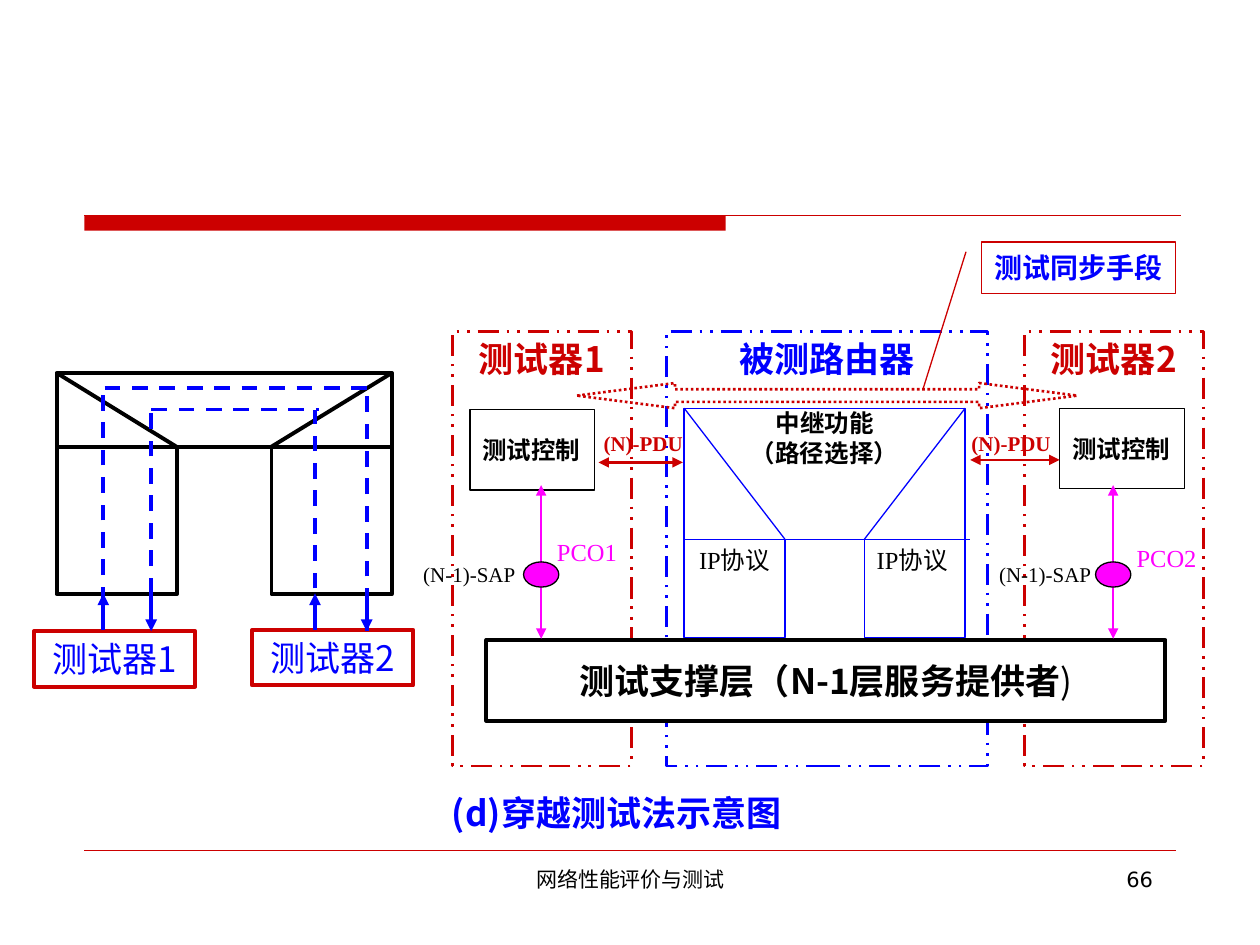
from lxml import etree
from pptx import Presentation
from pptx import util as u
from pptx.dml.color import RGBColor
from pptx.enum import dml, shapes, text
from pptx.oxml.ns import qn

COLORS = {"red": "CC0000", "blue": "0000FF", "magenta": "FF00FF",
          "black": "000000", "white": "FFFFFF"}
HEI, TIMES, SANS = "Noto Sans CJK SC", "Times New Roman", "DejaVu Sans"
DASH, PANEL_DASH, DOTS = (dml.MSO_LINE.DASH, dml.MSO_LINE.DASH_DOT_DOT,
                          dml.MSO_LINE.ROUND_DOT)
KIND = shapes.MSO_SHAPE
LEFT, CENTER, RIGHT, JUSTIFY = (text.PP_ALIGN.LEFT, text.PP_ALIGN.CENTER,
                                text.PP_ALIGN.RIGHT, text.PP_ALIGN.JUSTIFY)
TOP, MIDDLE = text.MSO_ANCHOR.TOP, text.MSO_ANCHOR.MIDDLE
THICK, MEDIUM, THIN = 2.25, 1.5, 0.75

prs = Presentation()
prs.slide_width, prs.slide_height = u.Inches(10), u.Inches(7.5)
slide = prs.slides.add_slide(prs.slide_layouts[6])
CELL = prs.slide_width / 100  # grid of 100 columns by 75 rows


def cells(*counts):
    return [u.Emu(round(n * CELL)) for n in counts]


def rgb(name):
    return RGBColor.from_string(COLORS[name])


def style_line(line, color, width, dash=None):
    line.color.rgb = rgb(color)
    line.width = u.Pt(width)
    if dash is not None:
        line.dash_style = dash


def write(frame, lines, size, color, font=HEI, bold=False, align=CENTER,
          anchor=TOP, inset=(1, 0.5)):
    frame.word_wrap = True
    frame.vertical_anchor = anchor
    frame.margin_left = frame.margin_right = cells(inset[0])[0]
    frame.margin_top = frame.margin_bottom = cells(inset[1])[0]
    frame.text = lines
    for par in frame.paragraphs:
        par.alignment = align
        par.font.size, par.font.bold = u.Pt(size), bold
        par.font.name, par.font.color.rgb = font, rgb(color)
        east_asian = etree.SubElement(par._p.pPr.find(qn("a:defRPr")), qn("a:ea"))
        east_asian.set("typeface", HEI)


def label(box, at, lines, size, color, **style):
    """Text at (column, row, columns, rows) from the box corner."""
    col, row, width, height = at
    note = slide.shapes.add_textbox(*cells(box[0] + col, box[1] + row, width, height))
    write(note.text_frame, lines, size, color, **style)


def block(box, at, line, width, fill="white", kind=KIND.RECTANGLE, dash=None):
    col, row, cols, rows = at
    shape = slide.shapes.add_shape(kind, *cells(box[0] + col, box[1] + row, cols, rows))
    shape.shadow.inherit = False
    if fill:
        shape.fill.solid()
        shape.fill.fore_color.rgb = rgb(fill)
    else:
        shape.fill.background()
    if line:
        style_line(shape.line, line, width, dash)
    else:
        shape.line.fill.background()
    return shape


def stroke(box, ends, color, width, dash=None, arrows=()):
    x1, y1, x2, y2 = ends
    link = slide.shapes.add_connector(
        shapes.MSO_CONNECTOR.STRAIGHT,
        *cells(box[0] + x1, box[1] + y1, box[0] + x2, box[1] + y2))
    style_line(link.line, color, width, dash)
    for end in arrows:
        etree.SubElement(link.line._get_or_add_ln(), qn(f"a:{end}")).set("type", "triangle")
    etree.SubElement(link._element.spPr, qn("a:effectLst"))


BOTH, TAIL = ("headEnd", "tailEnd"), ("tailEnd",)


def page_frame(box):
    # Header rule and footer
    block(box, (6.7, 17.1, 50.9, 1.2), None, 0, "red")
    stroke(box, (6.7, 17.1, 93.7, 17.1), "red", THIN)
    stroke(box, (6.7, 67.5, 93.3, 67.5), "red", 0.25)
    label(box, (34.2, 68.3, 31.7, 5), "网络性能评价与测试", 12, "black", font=SANS)
    label(box, (71.7, 68.3, 20.8, 5), "66", 12, "black", font=SANS, align=RIGHT)


def relay_sketch(box):
    # Router outline: relay on top, one leg under each end
    block(box, (1.8, 0, 26.6, 5.85), "black", THICK)
    for leg in (1.8, 18.85):
        block(box, (leg, 5.85, 9.55, 11.7), "black", THICK)
    for outer, inner in ((1.8, 11.3), (28.4, 18.85)):
        stroke(box, (outer, 0, inner, 5.85), "black", THICK)
    # Testers
    for name, col, row in (("测试器1", 0, 20.5), ("测试器2", 17.3, 20.4)):
        write(block(box, (col, row, 12.8, 4.4), "red", THICK).text_frame,
              name, 20, "blue")
    # Outer and inner test paths
    for path in ((5.5, 20.4, 5.5, 1.4), (5.6, 1.2, 26.5, 1.2), (26.4, 20.5, 26.4, 1.4),
                 (22.3, 17.1, 22.3, 2.9), (9.3, 17.5, 9.3, 2.9), (9.3, 2.9, 22.6, 2.9)):
        stroke(box, path, "blue", THICK, DASH)
    for col, start, stop in ((5.5, 20.4, 17.5), (22.3, 20.4, 17.5),
                             (9.3, 17.5, 20.5), (26.4, 17.5, 20.5)):
        stroke(box, (col, start, col, stop), "blue", THICK, arrows=TAIL)


def panel(box, name, color):
    area = block(box, (0, 0, *box[2:]), color, MEDIUM, None, dash=PANEL_DASH)
    write(area.text_frame, name, 20, color, bold=True)


def support_layer(box):
    bar = block(box, (0, 0, *box[2:]), "black", THICK)
    write(bar.text_frame, "测试支撑层（N-1层服务提供者", 20, "black", bold=True,
          anchor=MIDDLE)
    closing = bar.text_frame.paragraphs[0].add_run()
    closing.text, closing.font.bold = ")", False


def tester(box, control, pco, pco_at, sap_right):
    # Test control, control point and service access point
    write(block(box, (*control, 9.9, 6.4), "black", THIN).text_frame, "测试控制", 14,
          "black", bold=True, align=LEFT, anchor=MIDDLE)
    stroke(box, (7.05, 12.2, 7.05, 24.4), "magenta", MEDIUM, arrows=BOTH)
    block(box, (5.65, 18.3, 2.8, 2), "black", THIN, "magenta", KIND.FLOWCHART_CONNECTOR)
    label(box, (*pco_at, 6.5, 4.1), pco, 14, "magenta", font=TIMES, inset=(0, 0),
          align=LEFT)
    label(box, (sap_right - 8.2, 18.3, 8.2, 4.1), "(N-1)-SAP", 12, "black",
          font=TIMES, inset=(0, 0), align=RIGHT)


def pdu_exchange(box, text_col):
    stroke(box, (0, 0, box[2], 0), "red", MEDIUM, arrows=BOTH)
    label(box, (text_col, 34.2 - box[1], 7.1, 4.1), "(N)-PDU", 12, "red", font=TIMES,
          bold=True, inset=(0, 0), align=LEFT)


def router(box):
    width, height = box[2:]
    leg, relay = 8, 10.4
    write(block(box, (0, 0, width, relay), "blue", THIN).text_frame,
          "中继功能\n（路径选择）", 14, "black", bold=True, inset=(1, 0))
    for col, align in ((0, CENTER), (width - leg, JUSTIFY)):
        write(block(box, (col, relay, leg, height - relay), "blue", THIN).text_frame,
              "IP协议", 14, "black", font=TIMES, align=align)
    for outer, inner, shelf in ((0, leg, (0, 8.5)),
                                (width, width - leg, (14.2, 22.7))):
        stroke(box, (outer, 0, inner, relay), "blue", THIN)
        stroke(box, (shelf[0], relay, shelf[1], relay), "blue", THIN)


def synchronisation(box):
    # Dotted arrow between the testers and its callout
    link = block(box, (0, 11.2, 39.7, 2), "red", MEDIUM, None,
                 KIND.LEFT_RIGHT_ARROW, DOTS)
    link.adjustments[0], link.adjustments[1] = 0.5, 3.89
    callout = block(box, (32.1, 0, 15.4, 4.1), "red", THIN, kind=KIND.LINE_CALLOUT_1)
    for i, share in enumerate((0.19, -0.08, 2.83, -0.3)):
        callout.adjustments[i] = share
    write(callout.text_frame, "测试同步手段", 16, "blue", bold=True, anchor=MIDDLE,
          inset=(0, 0))


# Boxes are (column, row, columns, rows)
TESTER_1, TESTER_2 = (35.9, 26.3, 14.2, 34.5), (81.3, 26.3, 14.2, 34.5)
page_frame((0, 0, 100, 75))
relay_sketch((2.7, 29.6, 30, 24.9))
label((26.7, 62.3), (0, 0, 44.5, 4.4), "(d)穿越测试法示意图", 20, "blue", bold=True)
panel((52.9, 26.3, 25.5, 34.5), "被测路由器", "blue")
panel(TESTER_1, "测试器1", "red")
panel(TESTER_2, "测试器2", "red")
support_layer((38.6, 50.8, 53.9, 6.4))
tester(TESTER_1, (1.4, 6.2), "PCO1", (8.3, 16.3), 5)
tester(TESTER_2, (2.8, 6.1), "PCO2", (8.9, 16.8), 5.3)
pdu_exchange((47.5, 36.7, 6.7, 0), 0.4)
pdu_exchange((77, 36.5, 7.1, 0), 0.1)
router((54.3, 32.4, 22.3, 18.2))
synchronisation((45.8, 19.2, 47.5, 13.2))

prs.save("out.pptx")
